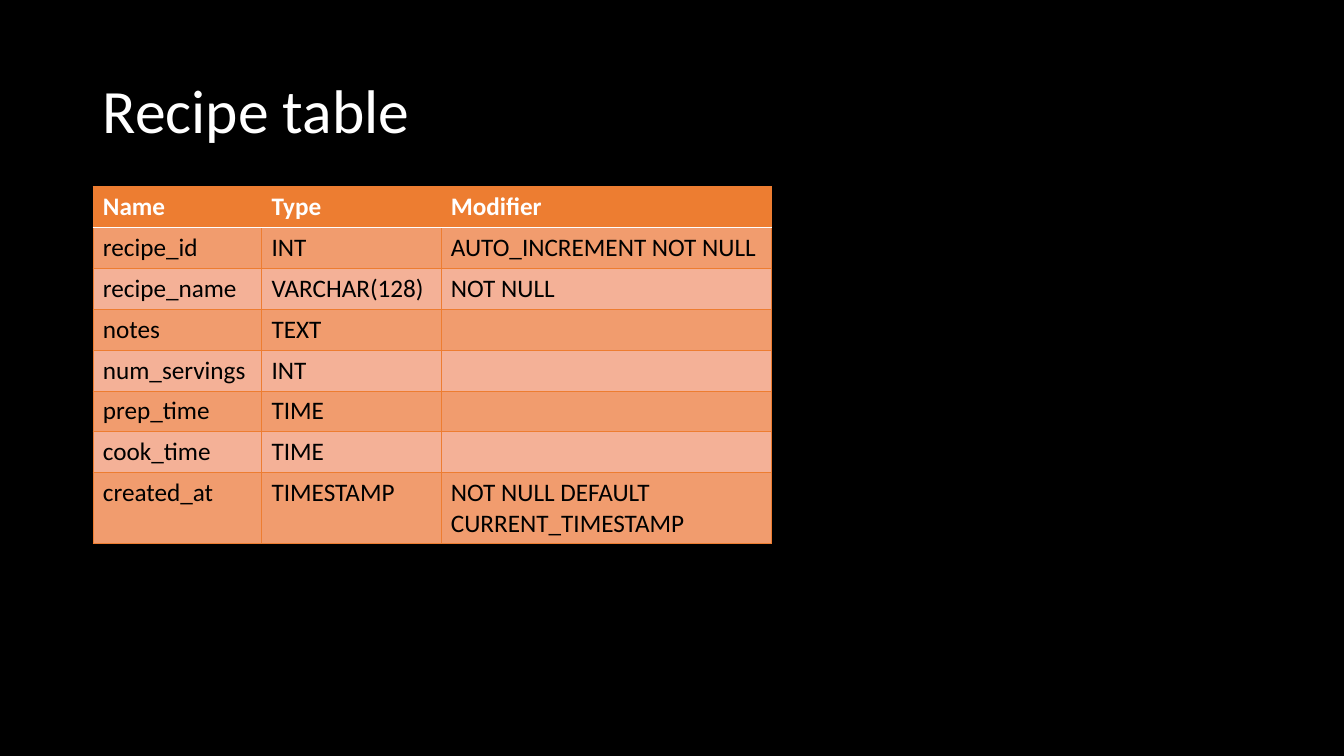
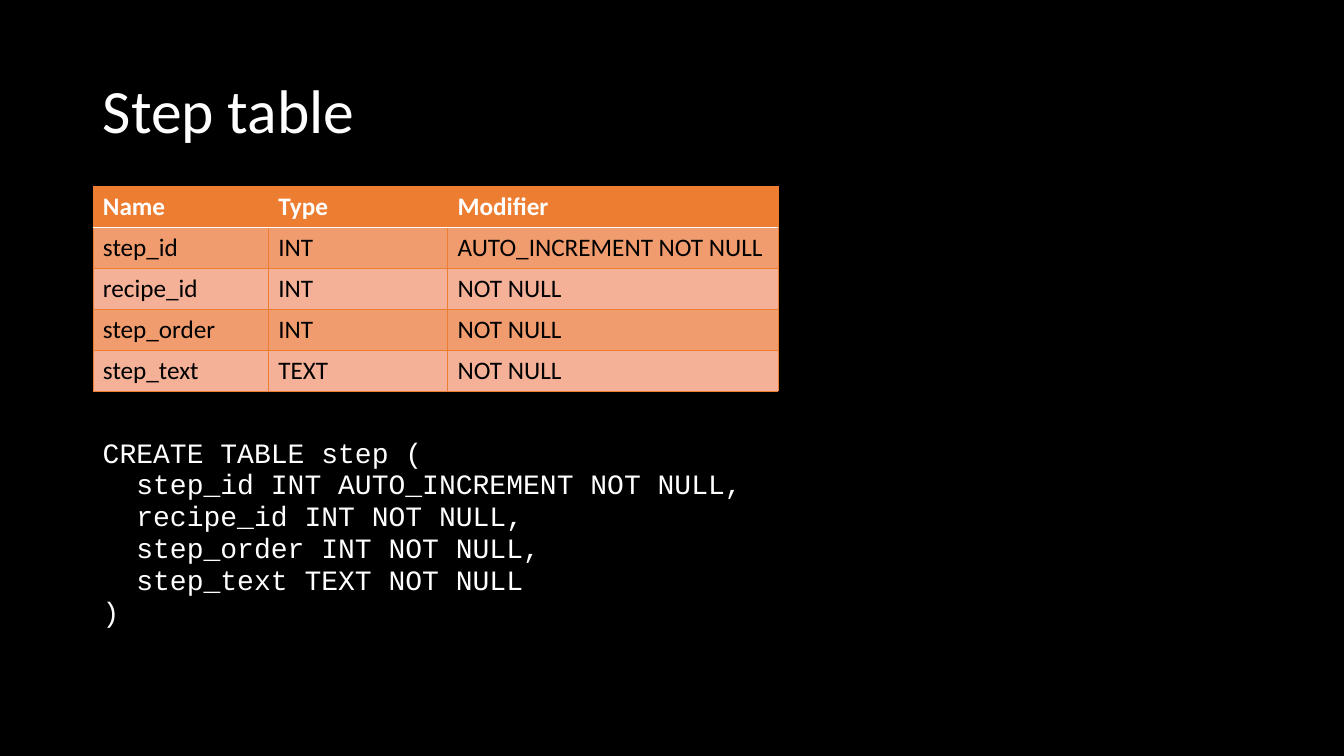
import pptx
import pptx.dml.color
import pptx.enum.text
import pptx.oxml
import pptx.oxml.ns
import pptx.util

Cm = pptx.util.Cm
Pt = pptx.util.Pt
RGBColor = pptx.dml.color.RGBColor
Anchor = pptx.enum.text.MSO_ANCHOR

BLACK = RGBColor(0x00, 0x00, 0x00)
WHITE = RGBColor(0xFF, 0xFF, 0xFF)
ORANGE = RGBColor(0xED, 0x7D, 0x31)
DARK_BAND = RGBColor(0xF1, 0x9C, 0x6E)
LIGHT_BAND = RGBColor(0xF4, 0xB1, 0x97)

HEADINGS = ("Name", "Type", "Modifier")

RECIPE_COLUMNS = [
    ("recipe_id", "INT", "AUTO_INCREMENT NOT NULL"),
    ("recipe_name", "VARCHAR(128)", "NOT NULL"),
    ("notes", "TEXT", ""),
    ("num_servings", "INT", ""),
    ("prep_time", "TIME", ""),
    ("cook_time", "TIME", ""),
    ("created_at", "TIMESTAMP", "NOT NULL DEFAULT CURRENT_TIMESTAMP"),
]

STEP_COLUMNS = [
    ("step_id", "INT", "AUTO_INCREMENT NOT NULL"),
    ("recipe_id", "INT", "NOT NULL"),
    ("step_order", "INT", "NOT NULL"),
    ("step_text", "TEXT", "NOT NULL"),
]

STEP_SQL = """CREATE TABLE step (
  step_id INT AUTO_INCREMENT NOT NULL,
  recipe_id INT NOT NULL,
  step_order INT NOT NULL,
  step_text TEXT NOT NULL
)"""


def write(frame, text, size=18, color=BLACK, font="Calibri", bold=False, spacing=1.0):
    frame.word_wrap = True
    for index, line in enumerate(text.split("\n")):
        paragraph = frame.add_paragraph() if index else frame.paragraphs[0]
        paragraph.line_spacing = spacing
        paragraph.font.size = Pt(size)
        if not line:
            continue
        run = paragraph.add_run()
        run.text = line
        run.font.name = font
        run.font.size = Pt(size)
        run.font.bold = bold
        run.font.color.rgb = color


def set_borders(cell, **edges):
    properties = cell._tc.get_or_add_tcPr()
    namespace = pptx.oxml.ns.nsdecls("a")
    for position, side in enumerate("LRTB"):
        color, width = edges.get(side, (ORANGE, 0.5))
        properties.insert(position, pptx.oxml.parse_xml(
            f'<a:ln{side} {namespace} w="{Pt(width)}"><a:solidFill>'
            f'<a:srgbClr val="{color}"/></a:solidFill></a:ln{side}>'))


class Deck:
    left = Cm(2.34)
    row_height = Cm(1.03)

    def __init__(self):
        self.presentation = pptx.Presentation()
        self.presentation.slide_width = Cm(33.87)
        self.presentation.slide_height = Cm(19.05)
        self.slide = None

    def start_slide(self, title):
        self.slide = self.presentation.slides.add_slide(self.presentation.slide_layouts[6])
        background = self.slide.background.fill
        background.solid()
        background.fore_color.rgb = BLACK
        self.add_text(title, Cm(1.02), Cm(29.21), Cm(3.68), Anchor.MIDDLE,
                      size=44, color=WHITE, spacing=0.9)

    def add_text(self, text, top, width, height, anchor=Anchor.TOP, **style):
        frame = self.slide.shapes.add_textbox(self.left, top, width, height).text_frame
        frame.vertical_anchor = anchor
        write(frame, text, **style)

    def add_code(self, code, top):
        self.add_text(code, top, Cm(18.49), Cm(5.16),
                      size=20, color=WHITE, font="Courier New", spacing=0.95)

    def add_schema(self, columns, widths):
        rows = [HEADINGS, *columns]
        schema = self.slide.shapes.add_table(
            len(rows), len(HEADINGS), self.left, Cm(4.7),
            Cm(sum(widths)), self.row_height * len(rows)).table
        for column, width in zip(schema.columns, widths):
            column.width = Cm(width)
        header_rule = (WHITE, 1)
        for row_index, values in enumerate(rows):
            schema.rows[row_index].height = self.row_height
            is_header = row_index == 0
            band = DARK_BAND if row_index % 2 else LIGHT_BAND
            edges = {0: {"B": header_rule}, 1: {"T": header_rule}}.get(row_index, {})
            for column_index, value in enumerate(values):
                cell = schema.cell(row_index, column_index)
                cell.fill.solid()
                cell.fill.fore_color.rgb = ORANGE if is_header else band
                write(cell.text_frame, value,
                      color=WHITE if is_header else BLACK, bold=is_header)
                set_borders(cell, **edges)


def main():
    deck = Deck()
    deck.start_slide("Recipe table")
    deck.add_schema(RECIPE_COLUMNS, (4.25, 4.52, 8.33))
    deck.start_slide("Step table")
    deck.add_schema(STEP_COLUMNS, (4.42, 4.52, 8.33))
    deck.add_code(STEP_SQL, Cm(10.9))
    deck.presentation.save("out.pptx")


if __name__ == "__main__":
    main()
